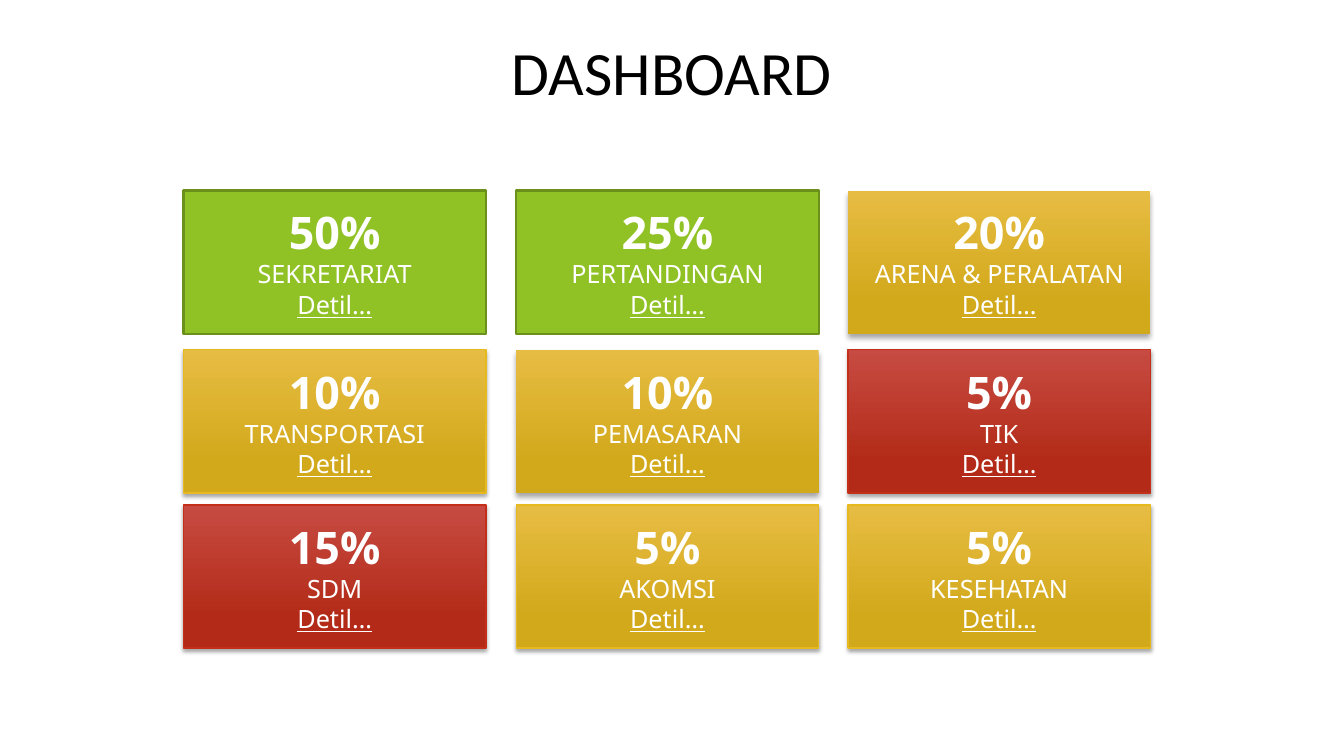
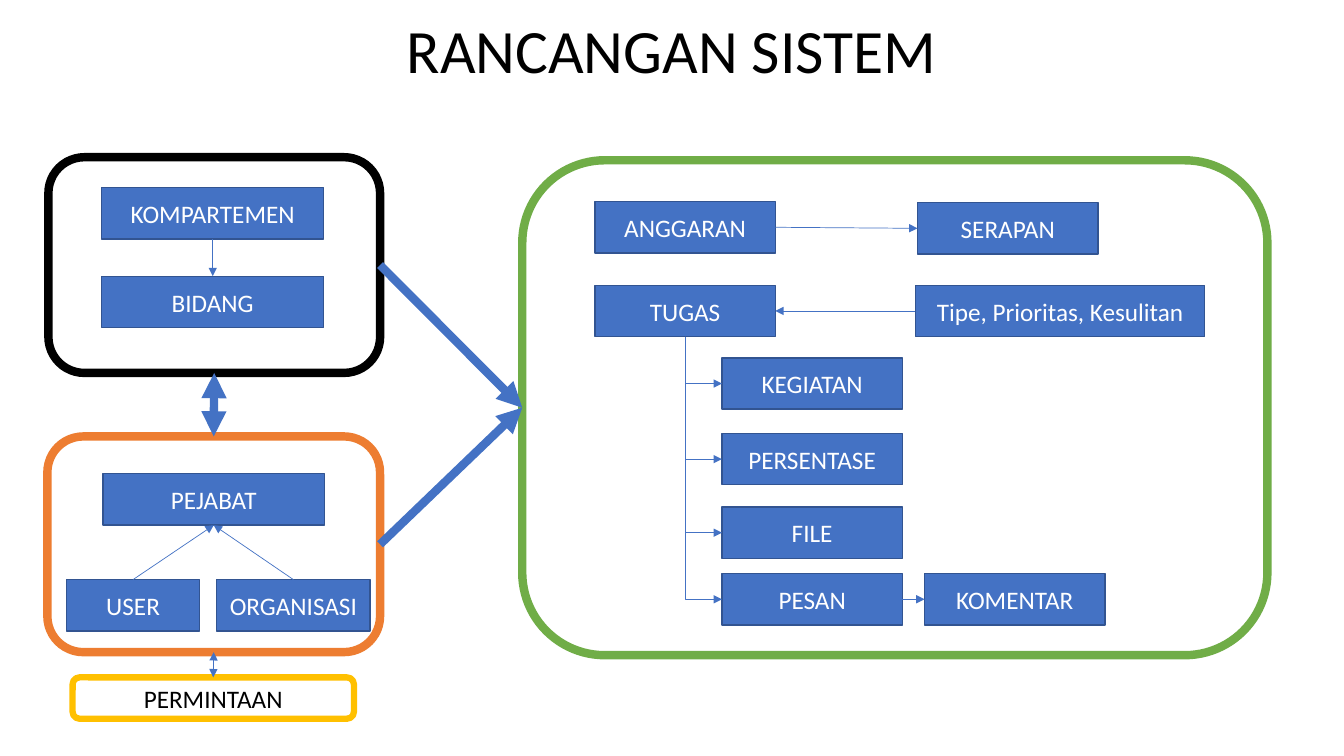
from dataclasses import dataclass
from typing import Optional

from lxml.etree import SubElement
from pptx import Presentation
from pptx.dml.color import RGBColor
from pptx.enum.shapes import MSO_CONNECTOR as Route, MSO_SHAPE as Preset
from pptx.enum.text import MSO_ANCHOR as Anchor, MSO_AUTO_SIZE as AutoSize, PP_ALIGN as Align
from pptx.oxml.ns import qn
from pptx.util import Inches, Pt

WHITE = RGBColor(0xFF, 0xFF, 0xFF)
BLACK = RGBColor(0x00, 0x00, 0x00)
BLUE = RGBColor(0x44, 0x72, 0xC4)
NAVY = RGBColor(0x32, 0x54, 0x91)
GREEN = RGBColor(0x70, 0xAD, 0x47)
ORANGE = RGBColor(0xED, 0x7D, 0x31)
YELLOW = RGBColor(0xFF, 0xC0, 0x00)
LIME = RGBColor(0x90, 0xC2, 0x26)
LIME_EDGE = RGBColor(0x6B, 0x90, 0x1C)
AMBER_TOP = RGBColor(0xE7, 0xBC, 0x43)
AMBER_BASE = RGBColor(0xD2, 0xA9, 0x1B)
AMBER_EDGE = RGBColor(0xE6, 0xB9, 0x1E)
RED_TOP = RGBColor(0xC7, 0x4B, 0x42)
RED_BASE = RGBColor(0xB3, 0x2B, 0x18)
RED_EDGE = RGBColor(0xC4, 0x2F, 0x1A)

BODY_FONT = "Calibri"
TILE_FONT = "Noto Sans"
SLIDE_WIDTH = Inches(13.33)
TITLE_ONLY = 5
TOP, LEFT, BOTTOM, RIGHT = range(4)  # connection sites of a rectangle


@dataclass(frozen=True)
class TileStyle:
    """Look of a dashboard tile; a tile with a base colour is a gradient."""
    top: RGBColor
    base: Optional[RGBColor] = None
    edge: Optional[RGBColor] = None
    edge_width: float = 1
    shadow: Optional[tuple[float, float]] = None  # blur and distance


@dataclass(frozen=True)
class Tile:
    """One department on the dashboard."""
    share: str
    name: str
    style: TileStyle


@dataclass(frozen=True)
class Node:
    """One labelled box or frame of the system diagram."""
    key: str
    left: float
    top: float
    width: float
    height: float = 0.51
    label: str = ""
    preset: Preset = Preset.RECTANGLE
    fill: RGBColor = BLUE
    edge: RGBColor = NAVY
    edge_width: float = 1
    ink: RGBColor = WHITE


@dataclass(frozen=True)
class Link:
    """An arrow between two nodes."""
    start: str
    start_site: int
    end: str
    end_site: int
    width: float = 0.5
    both_ways: bool = False
    elbow: bool = False


LIME_TILE = TileStyle(LIME, edge=LIME_EDGE, edge_width=1.5)
AMBER_RAISED = TileStyle(AMBER_TOP, AMBER_BASE, shadow=(4, 3))
AMBER_TILE = TileStyle(AMBER_TOP, AMBER_BASE, AMBER_EDGE, shadow=(3, 2))
RED_TILE = TileStyle(RED_TOP, RED_BASE, RED_EDGE, shadow=(3, 2))

TILE_LEFTS = [1.82, 5.12, 8.41]
TILE_TOPS = [1.89, 3.47, 5.01]
TILES = [
    Tile("50%", "SEKRETARIAT", LIME_TILE),
    Tile("25%", "PERTANDINGAN", LIME_TILE),
    Tile("20%", "ARENA & PERALATAN", AMBER_RAISED),
    Tile("10%", "TRANSPORTASI", AMBER_TILE),
    Tile("10%", "PEMASARAN", AMBER_RAISED),
    Tile("5%", "TIK", RED_TILE),
    Tile("15%", "SDM", RED_TILE),
    Tile("5%", "AKOMSI", AMBER_TILE),
    Tile("5%", "KESEHATAN", AMBER_TILE),
]


def frame(key: str, left: float, top: float, width: float, height: float,
          edge: RGBColor, edge_width: float = 6, label: str = "") -> Node:
    """Describe a white rounded frame."""
    return Node(key, left, top, width, height, label, Preset.ROUNDED_RECTANGLE,
                WHITE, edge, edge_width, BLACK)


def entity(label: str, left: float, top: float, width: float = 1.79) -> Node:
    """Describe a blue box that is known by its label."""
    return Node(label, left, top, width, label=label)


TASK_PARTS = {"KEGIATAN": 3.55, "PERSENTASE": 4.3, "FILE": 5.03, "PESAN": 5.69}
DETAILS = "Tipe, Prioritas, Kesulitan"
NODES = [
    frame("work", 5.18, 1.59, 7.39, 4.91, GREEN),
    frame("people", 0.47, 4.33, 3.3, 2.14, ORANGE),
    frame("units", 0.48, 1.56, 3.29, 2.14, BLACK),
    frame("request", 0.72, 6.72, 2.79, 0.41, YELLOW, 4.5, "PERMINTAAN"),
    entity("KOMPARTEMEN", 1.01, 1.86, 2.2),
    entity("BIDANG", 1.01, 2.74, 2.2),
    entity("PEJABAT", 1.02, 4.7, 2.2),
    entity("USER", 0.66, 5.75, 1.32),
    entity("ORGANISASI", 2.15, 5.75, 1.52),
    entity("ANGGARAN", 5.9, 2),
    entity("SERAPAN", 9.1, 2.01),
    entity("TUGAS", 5.9, 2.83),
    entity(DETAILS, 9.08, 2.83, 2.87),
    *[entity(label, 7.16, top) for label, top in TASK_PARTS.items()],
    entity("KOMENTAR", 9.17, 5.69),
]
LINKS = [
    Link("units", BOTTOM, "people", TOP, 6, both_ways=True),
    Link("units", RIGHT, "work", LEFT, 6),
    Link("people", RIGHT, "work", LEFT, 6),
    Link("people", BOTTOM, "request", TOP, both_ways=True),
    Link("KOMPARTEMEN", BOTTOM, "BIDANG", TOP),
    Link("USER", TOP, "PEJABAT", BOTTOM),
    Link("ORGANISASI", TOP, "PEJABAT", BOTTOM),
    Link("ANGGARAN", RIGHT, "SERAPAN", LEFT),
    Link(DETAILS, LEFT, "TUGAS", RIGHT),
    *[Link("TUGAS", BOTTOM, label, LEFT, elbow=True) for label in TASK_PARTS],
    Link("PESAN", RIGHT, "KOMENTAR", LEFT),
]


def write(para, text: str, size: float, font: str, ink: RGBColor,
          bold: bool = False, underline: bool = False) -> None:
    """Add one centred run to a paragraph."""
    para.alignment = Align.CENTER
    span = para.add_run()
    span.text = text
    span.font.size = Pt(size)
    span.font.name = font
    span.font.color.rgb = ink
    span.font.bold = bold
    span.font.underline = underline


def add_page(deck, title: str, top: float):
    """Add a title-only slide and format its title."""
    page = deck.slides.add_slide(deck.slide_layouts[TITLE_ONLY])
    box = page.shapes.title
    box.left, box.top = Inches(0), Inches(top)
    box.width, box.height = SLIDE_WIDTH, Inches(1.45)
    box.text_frame.auto_size = AutoSize.NONE
    box.text_frame.vertical_anchor = Anchor.MIDDLE
    para = box.text_frame.paragraphs[0]
    para.line_spacing = 0.9
    write(para, title, 44, BODY_FONT, BLACK)
    return page


def add_box(page, preset: Preset, left: float, top: float, width: float,
            height: float, edge: Optional[RGBColor], edge_width: float):
    """Add a flat shape with the given outline and centred text area."""
    box = page.shapes.add_shape(preset, Inches(left), Inches(top),
                                Inches(width), Inches(height))
    if edge is None:
        box.line.fill.background()
    else:
        box.line.color.rgb = edge
        box.line.width = Pt(edge_width)
    box.shadow.inherit = False
    box.text_frame.word_wrap = True
    box.text_frame.vertical_anchor = Anchor.MIDDLE
    return box


def cast_shadow(box, blur: float, distance: float) -> None:
    """Give a shape a soft shadow straight below it."""
    effects = box.element.spPr.find(qn("a:effectLst"))
    shadow = SubElement(effects, qn("a:outerShdw"), blurRad=str(Pt(blur)),
                        dist=str(Pt(distance)), dir="5400000", rotWithShape="0")
    colour = SubElement(shadow, qn("a:srgbClr"), val=str(BLACK))
    SubElement(colour, qn("a:alpha"), val="35000")


def paint(box, style: TileStyle) -> None:
    """Fill a tile with its plain colour or its gradient."""
    if style.base is None:
        box.fill.solid()
        box.fill.fore_color.rgb = style.top
        return
    box.fill.gradient()
    box.fill.gradient_angle = 270
    stops = zip(box.fill.gradient_stops, (style.top, style.base), (0, 0.78))
    for stop, colour, position in stops:
        stop.color.rgb = colour
        stop.position = position


def add_tile(page, tile: Tile, left: float, top: float) -> None:
    """Draw a dashboard tile with share, name and detail line."""
    style = tile.style
    box = add_box(page, Preset.RECTANGLE, left, top, 3, 1.42,
                  style.edge, style.edge_width)
    paint(box, style)
    if style.shadow:
        cast_shadow(box, *style.shadow)
    frame_text = box.text_frame
    write(frame_text.paragraphs[0], tile.share, 32, TILE_FONT, WHITE, bold=True)
    write(frame_text.add_paragraph(), tile.name, 18, TILE_FONT, WHITE)
    write(frame_text.add_paragraph(), "Detil…", 18, TILE_FONT, WHITE, underline=True)


def add_node(page, node: Node):
    """Draw a node of the diagram and return its shape."""
    box = add_box(page, node.preset, node.left, node.top, node.width,
                  node.height, node.edge, node.edge_width)
    box.fill.solid()
    box.fill.fore_color.rgb = node.fill
    if node.label:
        write(box.text_frame.paragraphs[0], node.label, 18, BODY_FONT, node.ink)
    return box


def bend(connector) -> None:
    """Turn a connector into one that runs down first, then right."""
    across, down = connector.width, connector.height
    shift = (across - down) // 2
    connector.left, connector.top = connector.left + shift, connector.top - shift
    connector.width, connector.height = down, across
    properties = connector.element.spPr
    properties.find(qn("a:prstGeom")).set("prst", "bentConnector2")
    transform = properties.find(qn("a:xfrm"))
    transform.set("rot", "16200000")
    transform.set("flipH", "1")


def add_link(page, link: Link, boxes: dict) -> None:
    """Draw an arrow that is glued to its two nodes."""
    route = Route.ELBOW if link.elbow else Route.STRAIGHT
    connector = page.shapes.add_connector(route, 0, 0, 0, 0)
    connector.begin_connect(boxes[link.start], link.start_site)
    connector.end_connect(boxes[link.end], link.end_site)
    if link.elbow:
        bend(connector)
    connector.line.color.rgb = BLUE
    connector.line.width = Pt(link.width)
    properties = connector.element.spPr
    outline = properties.find(qn("a:ln"))
    if link.both_ways:
        SubElement(outline, qn("a:headEnd"), type="triangle")
    SubElement(outline, qn("a:tailEnd"), type="triangle")
    SubElement(properties, qn("a:effectLst"))


def build_dashboard(deck) -> None:
    """Lay the tiles out in a grid of three columns."""
    page = add_page(deck, "DASHBOARD", 0.02)
    for index, tile in enumerate(TILES):
        row, column = divmod(index, len(TILE_LEFTS))
        add_tile(page, tile, TILE_LEFTS[column], TILE_TOPS[row])


def build_system(deck) -> None:
    """Draw the nodes of the system design and the links between them."""
    page = add_page(deck, "RANCANGAN SISTEM", -0.19)
    boxes = {node.key: add_node(page, node) for node in NODES}
    for link in LINKS:
        add_link(page, link, boxes)


def main() -> None:
    """Build and save the deck."""
    deck = Presentation()
    deck.slide_width, deck.slide_height = SLIDE_WIDTH, Inches(7.5)
    build_dashboard(deck)
    build_system(deck)
    deck.save("out.pptx")


main()
